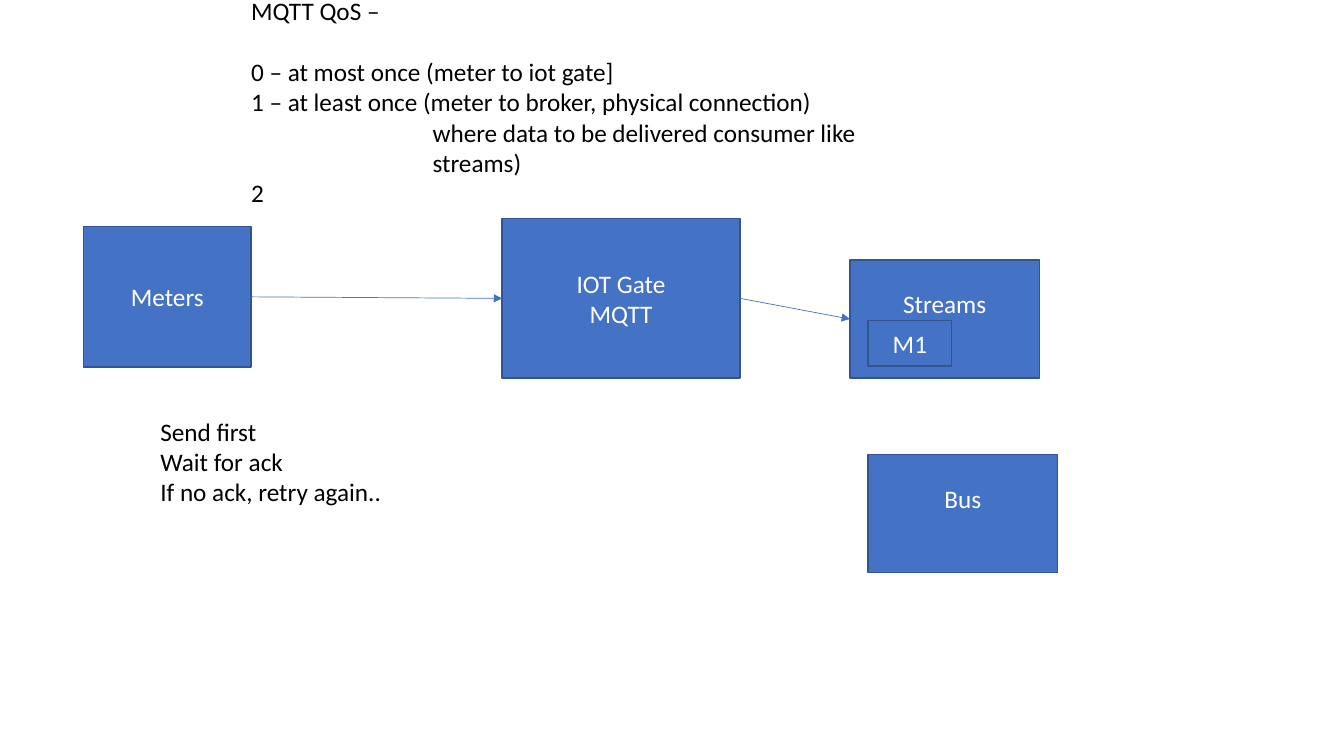
from pptx import Presentation
from pptx.dml.color import RGBColor as Rgb
from pptx.enum.shapes import MSO_CONNECTOR as Link, MSO_SHAPE as Form
from pptx.enum.text import MSO_ANCHOR as Anchor, MSO_AUTO_SIZE as Auto, PP_ALIGN as Align
from pptx.oxml import parse_xml
from pptx.oxml.ns import nsdecls, qn
from pptx.util import Inches, Pt

HUES = {"box": "4472C4", "edge": "325491", "light": "FFFFFF", "dark": "000000"}
FONT = {"name": "Calibri", "size": Pt(18), "bold": False}
PARA = {"space_before": Pt(0), "space_after": Pt(0), "line_spacing": 1.0}
FRAME = {"word_wrap": True, "auto_size": Auto.NONE}
LINE = 0.3  # height of one text line


def hue(name):
    return Rgb.from_string(HUES[name])


def put(obj, vals):
    for key, val in vals.items():
        setattr(obj, key, val)


def place(shape, area):
    keys = ("left", "top", "width", "height")
    put(shape, dict(zip(keys, map(Inches, area))))


def write(shape, lines, tint, align, anchor):
    frame = shape.text_frame
    put(frame, {**FRAME, "vertical_anchor": anchor})
    frame.text = "\n".join(lines)
    for para in frame.paragraphs:
        put(para, {**PARA, "alignment": align})
        put(para.font, FONT)
        para.font.color.rgb = hue(tint)


def add_box(slide, area, lines, lift=0):
    box = slide.shapes.add_shape(Form.RECTANGLE, *map(Inches, area))
    box.shadow.inherit = False
    box.fill.solid()
    box.fill.fore_color.rgb = hue("box")
    box.line.color.rgb = hue("edge")
    box.line.width = Pt(1)
    write(box, lines, "light", Align.CENTER, Anchor.MIDDLE)
    # A deeper bottom margin lifts the centred label
    box.text_frame.margin_bottom = Inches(0.05 + lift)
    return box


def add_arrow(slide, start, end):
    line = slide.shapes.add_connector(Link.STRAIGHT, 0, 0, 0, 0)
    line.begin_connect(start, 3)
    line.end_connect(end, 1)
    line.line.color.rgb = hue("box")
    line.line.width = Pt(0.5)
    tail = parse_xml(f'<a:tailEnd {nsdecls("a")} type="triangle"/>')
    line.line._get_or_add_ln().append(tail)
    props = line._element.find(qn("p:spPr"))
    props.append(parse_xml(f'<a:effectLst {nsdecls("a")}/>'))


def fill_list(holder, area, lines, dents=None):
    place(holder, area)
    write(holder, lines, "dark", Align.LEFT, Anchor.TOP)
    for num, para in enumerate(holder.text_frame.paragraphs):
        props = para._p.get_or_add_pPr()
        props.set("marL", str(Inches((dents or {}).get(num, 0))))
        props.set("indent", "0")
        props.append(parse_xml(f'<a:buNone {nsdecls("a")}/>'))


def main():
    deck = Presentation()
    put(deck, {"slide_width": Inches(13.33), "slide_height": Inches(7.5)})
    slide = deck.slides.add_slide(deck.slide_layouts[3])
    title, levels, steps = list(slide.placeholders)[:3]

    # Heading and service levels
    place(title, (2.39, -0.1, 7.06, 0.4))
    write(title, ["MQTT QoS –"], "dark", Align.LEFT, Anchor.TOP)
    fill_list(levels, (2.39, 0.51, 7.06, 1.31), [
        "0 – at most once (meter to iot gate]",
        "1 – at least once (meter to broker, physical connection)",
        "where data to be delivered consumer like streams)",
        "2",
    ], {2: 1.8})

    # Message flow
    core = add_box(slide, (4.98, 2.17, 2.36, 1.58), ["IOT Gate", "MQTT"])
    meter = add_box(slide, (0.83, 2.25, 1.66, 1.39), ["Meters"])
    stream = add_box(slide, (8.43, 2.58, 1.88, 1.17), ["Streams"], LINE)
    add_box(slide, (8.61, 4.51, 1.88, 1.17), ["Bus"], LINE)
    add_box(slide, (8.61, 3.18, 0.83, 0.45), ["M1"])
    add_arrow(slide, meter, core)
    add_arrow(slide, core, stream)

    # Retry steps
    fill_list(steps, (1.49, 4.08, 2.47, 1.01), [
        "Send first", "Wait for ack", "If no ack, retry again..",
    ])
    deck.save("out.pptx")


main()
